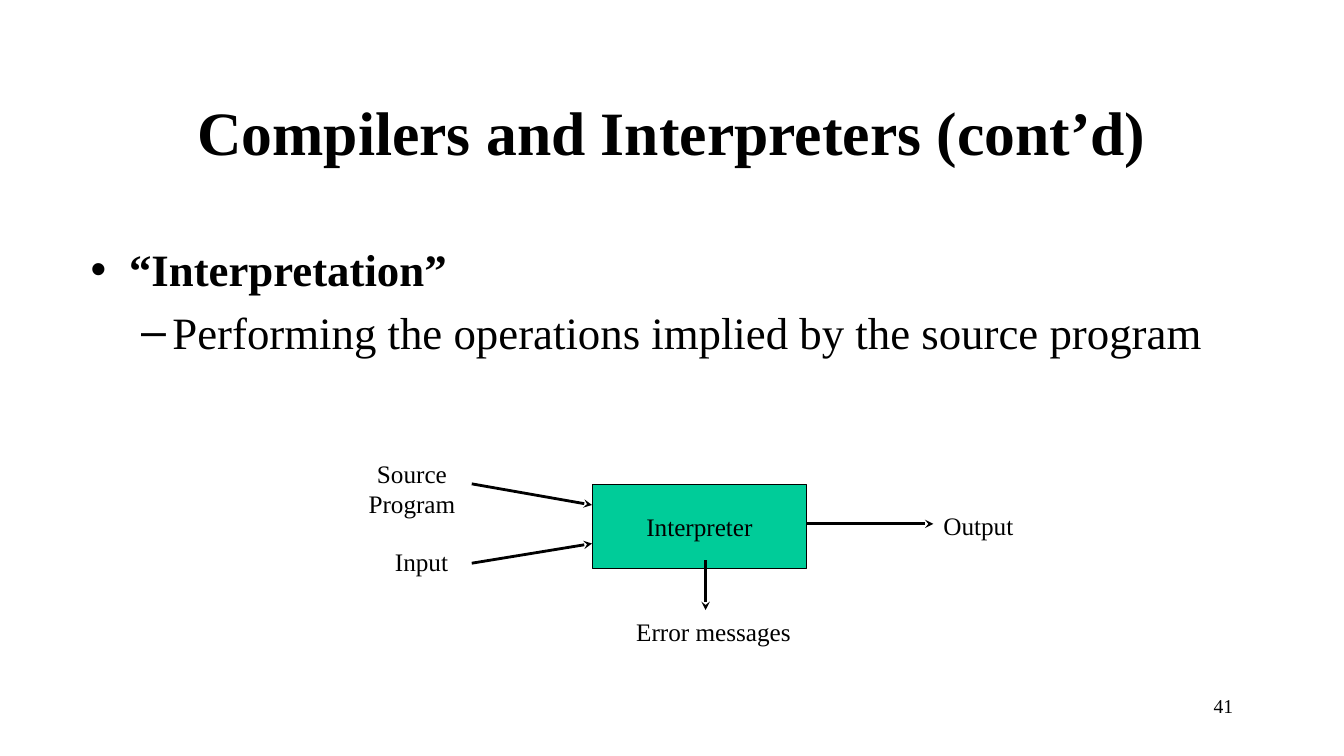
"""Build the slide on interpretation, with its data-flow diagram."""
from lxml.etree import SubElement
from pptx import Presentation
from pptx.dml.color import RGBColor
from pptx.enum.shapes import MSO_CONNECTOR, MSO_SHAPE
from pptx.enum.text import MSO_ANCHOR, MSO_AUTO_SIZE, PP_ALIGN
from pptx.oxml.ns import qn
from pptx.util import Inches, Pt

THEME = {
    "font": "Times New Roman",
    "ink": RGBColor(0x00, 0x00, 0x00),
    "box": RGBColor(0x00, 0xCC, 0x99),
    "title": Pt(44), "body": Pt(32), "label": Pt(18), "number": Pt(14),
}

prs = Presentation()
prs.slide_width, prs.slide_height = Inches(13.33), Inches(7.5)
s = prs.slides.add_slide(prs.slide_layouts[1])


def place(*percents):
    """Turn alternating x and y percentages of the slide into lengths."""
    sides = (prs.slide_width, prs.slide_height) * 2
    return [int(side * pct / 100) for side, pct in zip(sides, percents)]


def style(p, size, align, bold=False):
    """Format a paragraph and its runs from the theme."""
    p.alignment = align
    for r in p.runs:
        r.font.name, r.font.size, r.font.bold = THEME["font"], size, bold
        r.font.color.rgb = THEME["ink"]


title, body = s.shapes.title, s.placeholders[1]
for sp, area in ((title, (7.5, 8.9, 85, 16.7)), (body, (6, 31.3, 86.5, 22))):
    sp.left, sp.top, sp.width, sp.height = place(*area)
    sp.text_frame.auto_size = MSO_AUTO_SIZE.NONE

title.text_frame.text = "Compilers and Interpreters (cont’d)"
title.text_frame.vertical_anchor = MSO_ANCHOR.MIDDLE
style(title.text_frame.paragraphs[0], THEME["title"], PP_ALIGN.CENTER, True)

points = (
    ("“Interpretation”", "•", 0.38, -0.38, 0, True),
    ("Performing the operations implied by the source program", "–", 0.81, -0.31, 6.4, False),
)
tf = body.text_frame
tf.text = "\n".join(point[0] for point in points)
for level, (p, point) in enumerate(zip(tf.paragraphs, points)):
    _, bullet, margin, indent, space, bold = point
    p.level = level
    p.space_before = Pt(space)
    pPr = p._p.get_or_add_pPr()
    pPr.set("marL", str(Inches(margin)))
    pPr.set("indent", str(Inches(indent)))
    SubElement(pPr, qn("a:buChar"), char=bullet)
    style(p, THEME["body"], PP_ALIGN.LEFT, bold)

box = s.shapes.add_shape(MSO_SHAPE.RECTANGLE, *place(44.1, 64.1, 15.9, 11.1))
box.shadow.inherit = False
box.fill.solid()
box.fill.fore_color.rgb = THEME["box"]
box.line.color.rgb = THEME["ink"]
box.line.width = Pt(0.75)
box.text_frame.text = "Interpreter"
box.text_frame.word_wrap = False
box.text_frame.vertical_anchor = MSO_ANCHOR.MIDDLE
style(box.text_frame.paragraphs[0], THEME["label"], PP_ALIGN.CENTER)

labels = (
    ("Source\nProgram", (25.7, 60, 9.9, 9.5), "label", PP_ALIGN.CENTER),
    ("Input", (28.65, 71.6, 6.8, 5.3), "label", PP_ALIGN.LEFT),
    ("Output", (69.45, 66.8, 7.8, 5.3), "label", PP_ALIGN.LEFT),
    ("Error messages", (46.6, 80.9, 13.4, 5.3), "label", PP_ALIGN.LEFT),
    ("41", (71.7, 91.1, 20.8, 6.7), "number", PP_ALIGN.RIGHT),
)
for text, area, size, align in labels:
    tf = s.shapes.add_textbox(*place(*area)).text_frame
    tf.word_wrap = True
    tf.text = text
    for p in tf.paragraphs:
        style(p, THEME[size], align)

arrows = (
    (35.1, 64, 44.05, 66.8),
    (35.1, 74.5, 44.05, 71.9),
    (60, 69.3, 69.45, 69.3),
    (52.5, 74.1, 52.5, 80.7),
)
for ends in arrows:
    arrow = s.shapes.add_connector(MSO_CONNECTOR.STRAIGHT, *place(*ends))
    arrow.line.color.rgb = THEME["ink"]
    arrow.line.width = Pt(2)
    SubElement(arrow.line._get_or_add_ln(), qn("a:tailEnd"), type="stealth")
    SubElement(arrow._element.spPr, qn("a:effectLst"))

prs.save("out.pptx")
